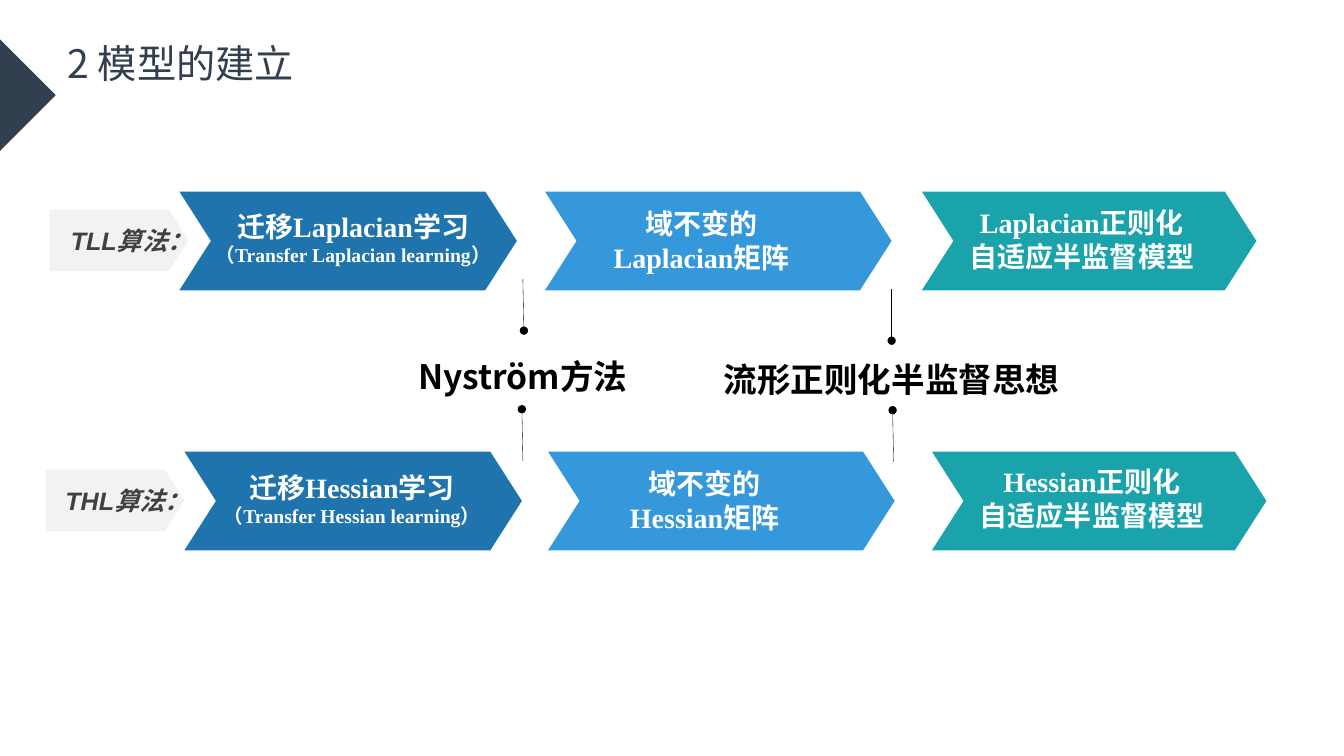
from lxml import etree
from pptx import Presentation
from pptx.dml.color import RGBColor
from pptx.enum import shapes, text
from pptx.oxml.ns import qn
from pptx.util import Inches, Pt

COLORS = {
    "navy": "323F4F", "blue": "1F74AD", "sky": "3498DB", "teal": "1AA3AA",
    "pale": "F2F2F2", "gray": "404040", "white": "FFFFFF", "black": "000000",
}
CJK_FONT = "Noto Sans CJK SC"


def add_block(kind, left, top, width, height, color):
    block = slide.shapes.add_shape(
        kind, Inches(left), Inches(top), Inches(width), Inches(height))
    block.shadow.inherit = False
    block.fill.solid()
    block.fill.fore_color.rgb = RGBColor.from_string(COLORS[color])
    block.line.fill.background()
    return block


def write(box, lines, font_name, color, bold=True, italic=False,
          align=text.PP_ALIGN.CENTER, spacing=1.0):
    """Fill a box with (wording, size) lines, one paragraph each."""
    frame = box.text_frame
    frame.word_wrap = True
    frame.auto_size = text.MSO_AUTO_SIZE.NONE
    for index, (wording, size) in enumerate(lines):
        para = frame.add_paragraph() if index else frame.paragraphs[0]
        para.text = wording
        para.alignment = align
        para.line_spacing = spacing
        para.font.size = Pt(size)
        para.font.bold = bold
        para.font.italic = italic
        para.font.color.rgb = RGBColor.from_string(COLORS[color])
        para.font.name = font_name
        defaults = para._p.pPr.find(qn("a:defRPr"))
        etree.SubElement(defaults, qn("a:ea"), typeface=CJK_FONT)


deck = Presentation()
deck.slide_width, deck.slide_height = Inches(13.34), Inches(7.5)
slide = deck.slides.add_slide(deck.slide_layouts[5])

# Title and corner marker
title = slide.shapes.title
title.left, title.top = Inches(0.57), Inches(0.34)
title.width, title.height = Inches(9.79), Inches(0.57)
title.text_frame.vertical_anchor = text.MSO_ANCHOR.TOP
write(title, [("2 模型的建立", 28)], CJK_FONT, "navy", bold=False,
      align=text.PP_ALIGN.LEFT)
marker = add_block(shapes.MSO_SHAPE.RECTANGLE, -0.4, 0.55, 0.79, 0.79, "navy")
marker.rotation = 45

# Two algorithm rows: row top, label left, chevron lefts, text box (left, top)
rows = [
    ("TLL", "Laplacian", 1.9, 0.49, (1.78, 5.41, 9.15),
     ((1.97, 2.03), (5.81, 2.0), (9.47, 1.99))),
    ("THL", "Hessian", 4.48, 0.45, (1.83, 5.44, 9.25),
     ((1.96, 4.62), (5.84, 4.58), (9.57, 4.56))),
]
chevron_styles = [(3.35, "blue"), (3.44, "sky"), (3.32, "teal")]
text_sizes = [(3.07, 0.67), (2.31, 0.77), (2.54, 0.77)]

for short_name, method, top, label_left, chevron_lefts, text_spots in rows:
    label = add_block(shapes.MSO_SHAPE.PENTAGON,
                      label_left, top + 0.18, 1.38, 0.61, "pale")
    label.adjustments[0] = 0.32
    label.text_frame.margin_left = Inches(0.15)
    label.text_frame.margin_right = Inches(0.05)
    write(label, [(f"{short_name}算法：", 18)], "Arial", "gray", italic=True)

    steps = [
        [(f"迁移{method}学习", 20), (f"（Transfer {method} learning）", 14)],
        [("域不变的", 20), (f"{method}矩阵", 20)],
        [(f"{method}正则化", 20), ("自适应半监督模型", 20)],
    ]
    for left, (width, color), spot, size, lines in zip(
            chevron_lefts, chevron_styles, text_spots, text_sizes, steps):
        chevron = add_block(shapes.MSO_SHAPE.CHEVRON,
                            left, top, width, 0.98, color)
        chevron.adjustments[0] = 0.32
        box = slide.shapes.add_textbox(*map(Inches, spot + size))
        write(box, lines, "Times New Roman", "white")

# Shared ideas between the rows
for wording, left, top, height in [("Nyström方法", 3.32, 3.4, 0.5),
                                   ("流形正则化半监督思想", 6.98, 3.43, 0.43)]:
    box = slide.shapes.add_textbox(
        Inches(left), Inches(top), Inches(3.74), Inches(height))
    box.text_frame.margin_bottom = 0
    write(box, [(wording, 24)], CJK_FONT, "black", spacing=1.2)

# Thin links, each starting at its dot
for dot_x, dot_y, end_x, end_y in [(5.2, 3.28, 5.19, 2.77),
                                   (8.85, 3.38, 8.85, 2.87),
                                   (5.18, 4.06, 5.19, 4.57),
                                   (8.86, 4.07, 8.87, 4.58)]:
    link = slide.shapes.add_connector(
        shapes.MSO_CONNECTOR.STRAIGHT,
        Inches(dot_x), Inches(dot_y), Inches(end_x), Inches(end_y))
    link.line.width = Pt(0.25)
    link.line.color.rgb = RGBColor.from_string(COLORS["black"])
    properties = link._element.spPr
    etree.SubElement(properties.find(qn("a:ln")), qn("a:headEnd"), type="oval")
    etree.SubElement(properties, qn("a:effectLst"))

deck.save("out.pptx")
